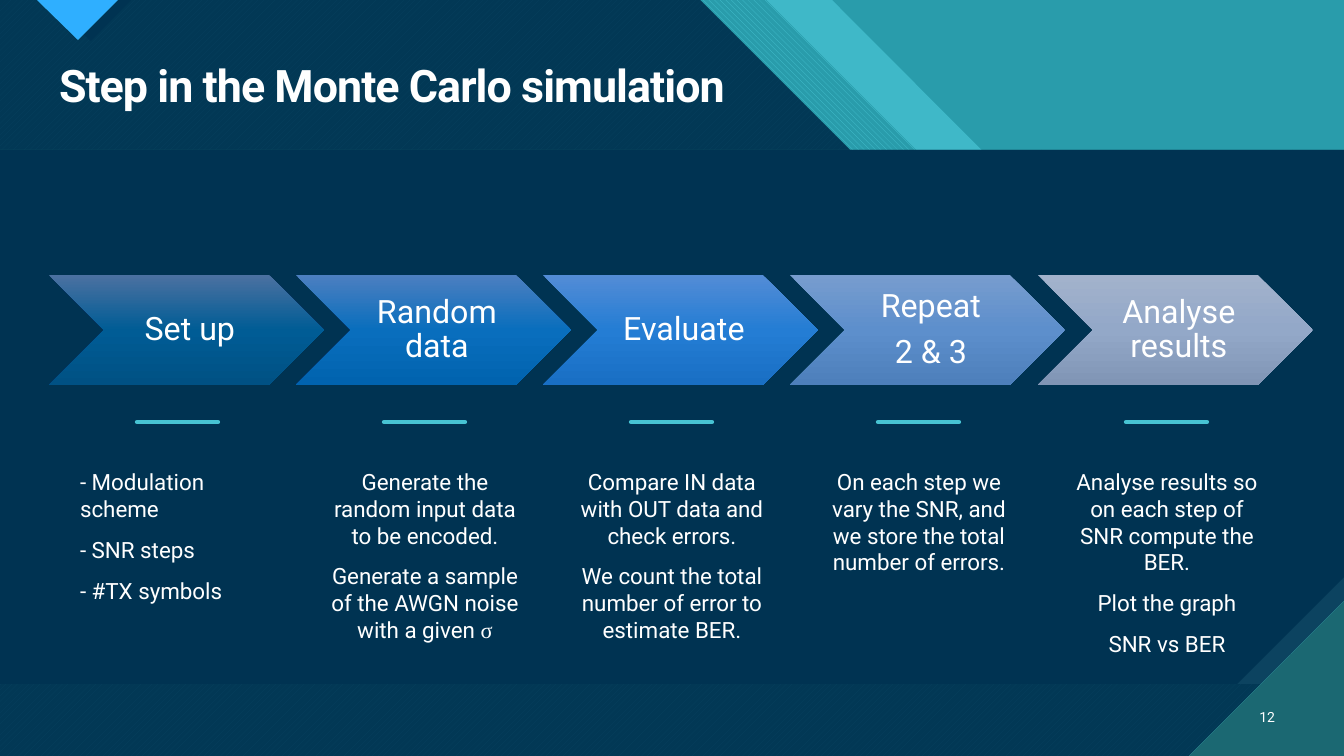
from copy import deepcopy

from lxml.etree import SubElement
from pptx import Presentation
from pptx.dml.color import RGBColor
from pptx.enum.dml import MSO_PATTERN
from pptx.enum.shapes import MSO_CONNECTOR, MSO_SHAPE
from pptx.enum.text import MSO_ANCHOR, PP_ALIGN
from pptx.oxml.ns import qn
from pptx.util import Pt

LEFT, MID, RIGHT = PP_ALIGN.LEFT, PP_ALIGN.CENTER, PP_ALIGN.RIGHT
TOP, CENTRE = MSO_ANCHOR.TOP, MSO_ANCHOR.MIDDLE
RECT, SNIP, CHEVRON = MSO_SHAPE.RECTANGLE, MSO_SHAPE.SNIP_1_RECTANGLE, MSO_SHAPE.CHEVRON
DOWN, UP = MSO_PATTERN.WIDE_DOWNWARD_DIAGONAL, MSO_PATTERN.WIDE_UPWARD_DIAGONAL
HORZ, VERT = MSO_PATTERN.DARK_HORIZONTAL, MSO_PATTERN.DARK_VERTICAL
STRAIGHT = MSO_CONNECTOR.STRAIGHT

WIDE, HIGH = 1344, 756
SCALE = 914400 / 100.8
NAVY, TEAL, AQUA, PINE = "003352", "299CAB", "47C3D3", "1B6872"
SLATE, SKY, WHITE = "0C4360", "2FAFFF", "FFFFFF"

# label lines, gradient from top to bottom, body paragraphs, body alignment
STEPS = [
    (["Set up"], ("4B71A1", "005C95", "005184"),
     ["- Modulation scheme", "- SNR steps", "- #TX symbols"], LEFT),
    (["Random data"], ("4C7FC0", "096EBD", "0163AF"),
     ["Generate the random input data to be encoded.",
      "Generate a sample of the AWGN noise with a given σ"], MID),
    (["Evaluate"], ("538CD6", "247DD4", "196FC4"),
     ["Compare IN data with OUT data and check errors.",
      "We count the total number of error to estimate BER."], MID),
    (["Repeat", "2 & 3"], ("779CCE", "5D8FCC", "4D7FBB"),
     ["On each step we vary the SNR, and we store the total number of errors."], MID),
    (["Analyse results"], ("A2B2CC", "93A8C8", "8095B5"),
     ["Analyse results so on each step of SNR compute the BER.",
      "Plot the graph", "SNR vs BER"], MID),
]


def emu(px):
    return round(px * SCALE)


def rgb(text):
    return RGBColor.from_string(text)


class Deck:
    """Holds the style and the current slide."""
    font, greek, ink = "Roboto", "Times New Roman", WHITE

    def __init__(self, show):
        show.slide_width, show.slide_height = emu(WIDE), emu(HIGH)
        self.slide = show.slides.add_slide(show.slide_layouts[6])
        self.shapes = self.slide.shapes

    def back(self, color):
        fill = self.slide.background.fill
        fill.solid()
        fill.fore_color.rgb = rgb(color)

    def paint(self, shape, color, under=None, weave=None, alpha=None):
        """Fill with a plain colour, or with a pattern over the colour under."""
        shape.shadow.inherit = False
        shape.line.fill.background()
        if weave:
            shape.fill.patterned()
            shape.fill.pattern = weave
            shape.fill.back_color.rgb = rgb(under)
        else:
            shape.fill.solid()
        shape.fill.fore_color.rgb = rgb(color)
        if alpha:
            tone = shape._element.spPr.find(qn("a:solidFill"))[0]
            SubElement(tone, qn("a:alpha")).set("val", str(alpha * 1000))

    def fade(self, shape, colors):
        """Fill with a gradient of three colours from top to bottom."""
        shape.shadow.inherit = False
        shape.line.fill.background()
        shape.fill.gradient()
        shape.fill.gradient_angle = 270
        stops = shape._element.spPr.find(qn("a:gradFill")).find(qn("a:gsLst"))
        stops.insert(1, deepcopy(stops[0]))
        for i, (stop, color) in enumerate(zip(shape.fill.gradient_stops, colors)):
            stop.position = i / 2
            stop.color.rgb = rgb(color)

    def block(self, kind, x, y, w, h):
        return self.shapes.add_shape(kind, emu(x), emu(y), emu(w), emu(h))

    def poly(self, points, color, **style):
        first, *rest = points
        outline = self.shapes.build_freeform(*first, scale=SCALE)
        outline.add_line_segments(rest)
        self.paint(outline.convert_to_shape(), color, **style)

    def rule(self, x, y, w, color, width):
        line = self.shapes.add_connector(STRAIGHT, emu(x), emu(y), emu(x + w), emu(y))
        line.line.color.rgb = rgb(color)
        line.line.width = Pt(width)
        props = line._element.spPr
        props.find(qn("a:ln")).set("cap", "rnd")
        SubElement(props, qn("a:effectLst"))

    def box(self, x, y, w, h):
        return self.shapes.add_textbox(emu(x), emu(y), emu(w), emu(h))

    def label(self, shape, lines, size, align=LEFT, anchor=TOP, pad=(10, 5, 10, 5),
              lead=1.0, before=0, after=0, bold=False, track=0):
        """Set the paragraphs; pad is left, top, right, bottom."""
        frame = shape.text_frame
        frame.word_wrap, frame.vertical_anchor = True, anchor
        (frame.margin_left, frame.margin_top,
         frame.margin_right, frame.margin_bottom) = map(emu, pad)
        for i, line in enumerate(lines):
            para = frame.add_paragraph() if i else frame.paragraphs[0]
            para.alignment, para.line_spacing = align, lead
            para.space_before, para.space_after = Pt(before), Pt(after)
            head, sign, _ = line.partition("σ")
            for text, face in ((head, self.font), (sign, self.greek)):
                if text:
                    self.piece(para, text, face, size, bold, track)

    def piece(self, para, text, face, size, bold, track):
        """Add one run; track is in hundredths of a point."""
        run = para.add_run()
        run.text = text
        run.font.name, run.font.size, run.font.bold = face, Pt(size), bold
        run.font.color.rgb = rgb(self.ink)
        if track:
            run.font._element.set("spc", str(track))


def scene(deck):
    """Draw the slanted bands, the panel and the corner marks."""
    deck.back(AQUA)
    deck.paint(deck.block(RECT, 0, 0, WIDE, HIGH), TEAL)
    # top edge, inner notch, notch end, and height at the right side
    bands = [
        (832, 1131, 1244, 399, dict(color=AQUA, alpha=74)),
        (766, 1066, 1194, 450, dict(color=AQUA, under=TEAL, weave=DOWN)),
        (700, 1000, 1127, 516, dict(color=AQUA, under=PINE, weave=UP)),
        (700, 1000, 1127, 516, dict(color=NAVY, alpha=90)),
    ]
    for top, notch, end, side, style in bands:
        deck.poly([(0, 0), (top, 0), (notch, 300), (end, 300),
                   (WIDE, side), (WIDE, HIGH), (0, HIGH)], **style)

    deck.poly([(48, 0), (91, 41), (131, 0)], NAVY)
    deck.poly([(37, 0), (78, 40), (118, 0)], SKY, under=PINE, weave=HORZ)

    deck.paint(deck.block(RECT, 0, 150, WIDE, 534), SLATE, under=PINE, weave=VERT)
    panel = deck.block(SNIP, 0, 150, WIDE, 534)
    panel.adjustments[0] = 0.2
    panel._element.spPr.xfrm.set("flipV", "1")
    deck.paint(panel, NAVY)
    deck.poly([(1189, HIGH), (WIDE, HIGH), (WIDE, 601)], PINE, under=AQUA, weave=HORZ)


def main():
    show = Presentation()
    deck = Deck(show)
    scene(deck)
    deck.label(deck.box(49, 59, 1236, 59), ["Step in the Monte Carlo simulation"], 32,
               lead=0.9, bold=True, track=-70)
    for i, (name, colors, body, align) in enumerate(STEPS):
        x = 49 + i * 989 // 4
        arrow = deck.block(CHEVRON, x, 275, 275, 110)
        deck.fade(arrow, colors)
        deck.label(arrow, name, 23, MID, CENTRE, (10, 3, 3, 3), lead=0.9, after=8)
        deck.rule(x + 88, 422, 81, AQUA, 3)
        deck.label(deck.box(x + 31, 468, 196, 161), body, 16, align,
                   pad=(0, 0, 0, 0), before=6, after=4)
    deck.label(deck.box(1241, 697, 44, 40), ["12"], 10, RIGHT, CENTRE)
    show.save("out.pptx")


if __name__ == "__main__":
    main()
